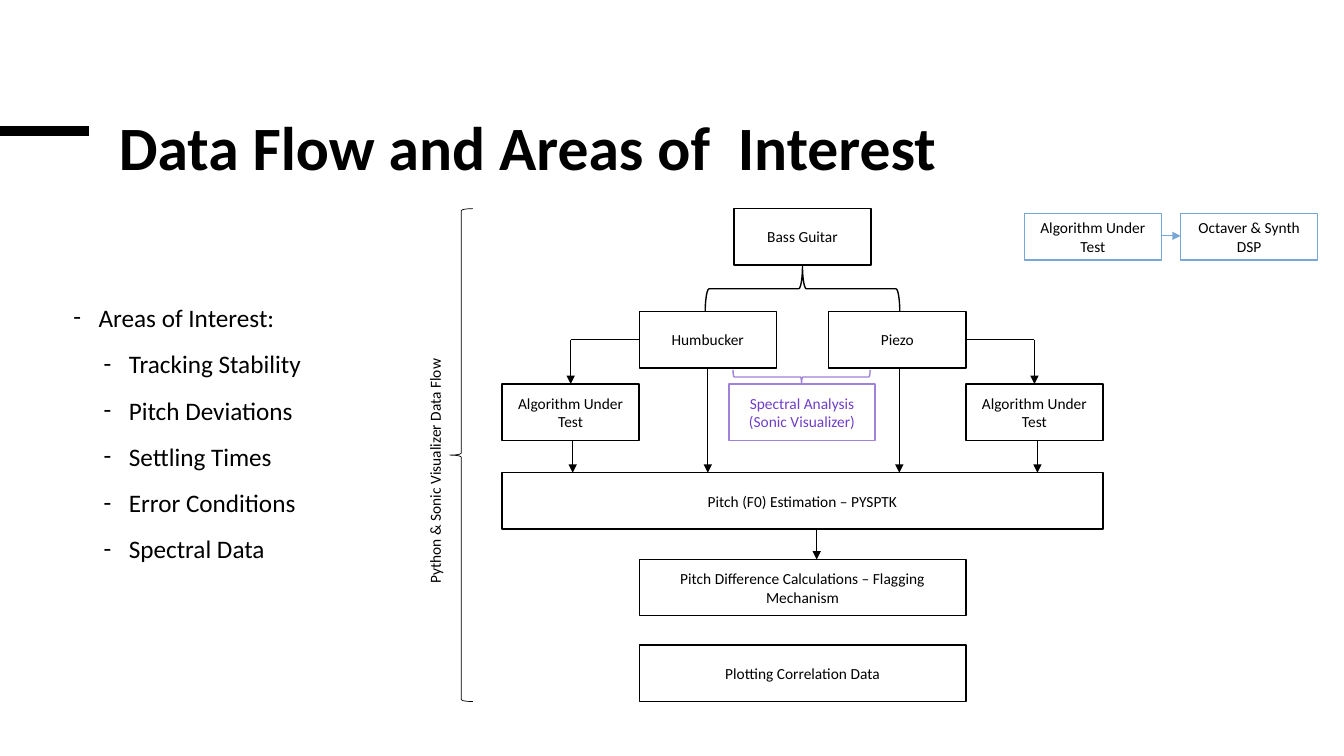
from lxml import etree
from pptx import Presentation
from pptx import util as u
from pptx.dml.color import RGBColor
from pptx.enum import shapes, text
from pptx.oxml.ns import qn

BLACK, WHITE = "000000", "FFFFFF"
BLUE, LILAC, PURPLE = "78A6D7", "A182DA", "6F3FC6"


def color(hex_code):
    return RGBColor.from_string(hex_code)


class FlowSlide:
    font = "Calibri"
    label_size = 11

    def __init__(self, slide):
        self.shapes = slide.shapes

    def style(self, paragraph, size, hex_code=BLACK, bold=False):
        for run in paragraph.runs:
            run.font.name = self.font
            run.font.size = u.Pt(size)
            run.font.bold = bold
            run.font.color.rgb = color(hex_code)

    def outline(self, kind, left, top, width, height, line, weight, fill=None):
        shape = self.shapes.add_shape(kind, *map(u.Inches, (left, top, width, height)))
        shape.shadow.inherit = False
        if fill:
            shape.fill.solid()
            shape.fill.fore_color.rgb = color(fill)
        else:
            shape.fill.background()
        shape.line.color.rgb = color(line)
        shape.line.width = u.Pt(weight)
        return shape

    def box(self, label, left, top, width=1.36, height=0.56,
            line=BLACK, ink=BLACK, fill=None):
        shape = self.outline(shapes.MSO_SHAPE.RECTANGLE, left, top, width, height,
                             line, 1, fill)
        frame = shape.text_frame
        frame.word_wrap = True
        frame.vertical_anchor = text.MSO_ANCHOR.MIDDLE
        frame.text = label
        frame.paragraphs[0].alignment = text.PP_ALIGN.CENTER
        self.style(frame.paragraphs[0], self.label_size, ink)

    def brace(self, left, top, width, height, rotation, line=BLACK, weight=1, fill=None):
        shape = self.outline(shapes.MSO_SHAPE.RIGHT_BRACE, left, top, width, height,
                             line, weight, fill)
        shape.rotation = rotation

    def line(self, x1, y1, x2, y2, hex_code=BLACK, weight=1, arrow=False):
        link = self.shapes.add_connector(shapes.MSO_CONNECTOR.STRAIGHT,
                                         *map(u.Inches, (x1, y1, x2, y2)))
        link.line.color.rgb = color(hex_code)
        link.line.width = u.Pt(weight)
        if arrow:
            etree.SubElement(link.line._get_or_add_ln(), qn("a:tailEnd"), type="triangle")
        etree.SubElement(link._element.spPr, qn("a:effectLst"))

    def text_box(self, words, left, top, width, height, size, bold=False, wrap=True):
        area = self.shapes.add_textbox(*map(u.Inches, (left, top, width, height)))
        area.text_frame.word_wrap = wrap
        area.text_frame.text = words
        self.style(area.text_frame.paragraphs[0], size, bold=bold)
        return area

    def dash_list(self, heading, items, left, top, width, height, size):
        frame = self.text_box(heading, left, top, width, height, size).text_frame
        for item in items:
            frame.add_paragraph().text = item
        for index, paragraph in enumerate(frame.paragraphs):
            props = paragraph._p.get_or_add_pPr()
            props.set("marL", str(u.Inches(0.55 if index else 0.25)))
            props.set("indent", str(u.Inches(-0.25)))
            etree.SubElement(props, qn("a:buFont"), typeface=self.font)
            etree.SubElement(props, qn("a:buChar"), char="-")
            paragraph.line_spacing = 1.3
            if index:
                paragraph.level = 1
                paragraph.space_before = u.Pt(5)
            self.style(paragraph, size)


def main():
    deck = Presentation()
    deck.slide_width, deck.slide_height = u.Inches(13.33), u.Inches(7.5)
    flow = FlowSlide(deck.slides.add_slide(deck.slide_layouts[6]))

    # Title with its accent bar
    flow.line(0, 1.3, 0.88, 1.3, weight=6.75)
    title = flow.text_box("Data Flow and Areas of  Interest", 1.08, 1.14, 10.85, 1.42,
                          44, bold=True)
    title.text_frame.paragraphs[0].line_spacing = 0.85

    # Guitar and its two pickups
    flow.box("Bass Guitar", 7.28, 2.07)
    flow.box("Humbucker", 6.34, 3.09)
    flow.box("Piezo", 8.22, 3.09)
    flow.brace(7.73, 1.9, 0.46, 1.93, 270)

    # Algorithm branches: pickup edge, algorithm centre, arrow to estimation
    for pickup_edge, center, estimate_x in ((6.34, 5.66, 5.68), (9.58, 10.26, 10.29)):
        flow.box("Algorithm Under Test", center - 0.68, 3.81)
        flow.line(pickup_edge, 3.37, center, 3.37)
        flow.line(center, 3.37, center, 3.81, arrow=True)
        flow.line(estimate_x, 4.38, estimate_x, 4.69, arrow=True)
    for pickup_x in (7.02, 8.92):
        flow.line(pickup_x, 3.65, pickup_x, 4.69, arrow=True)

    # Estimation, comparison and plotting
    flow.box("Pitch (F0) Estimation – PYSPTK", 4.98, 4.69, width=5.96)
    flow.line(8.1, 5.25, 8.1, 5.55, arrow=True)
    flow.box("Pitch Difference Calculations – Flagging Mechanism", 6.34, 5.55, width=3.24)
    flow.box("Plotting Correlation Data", 6.34, 6.4, width=3.24)

    # Separate effects chain
    for stage, left in (("Algorithm Under Test", 10.16), ("Octaver & Synth DSP", 11.71)):
        flow.box(stage, left, 2.12, height=0.46, line=BLUE, fill=WHITE)
    flow.line(11.52, 2.34, 11.71, 2.34, BLUE, 0.5, arrow=True)

    # Spectral analysis
    flow.box("Spectral Analysis (Sonic Visualizer)", 7.23, 3.81, width=1.45,
             line=LILAC, ink=PURPLE, fill=WHITE)
    flow.brace(7.88, 3.06, 0.14, 1.36, 90, LILAC, fill=WHITE)

    # Bracket over the whole flow
    flow.brace(4.46, 2.07, 0.23, 4.89, 180, weight=0.5)
    caption = flow.text_box("Python & Sonic Visualizer Data Flow", 2.93, 4.36, 2.77, 0.29,
                            flow.label_size, wrap=False)
    caption.rotation = 270

    # Areas of interest
    flow.dash_list("Areas of Interest:",
                   ("Tracking Stability", "Pitch Deviations", "Settling Times",
                    "Error Conditions", "Spectral Data"),
                   0.63, 2.86, 3.44, 4.21, 18)

    deck.save("out.pptx")


if __name__ == "__main__":
    main()
